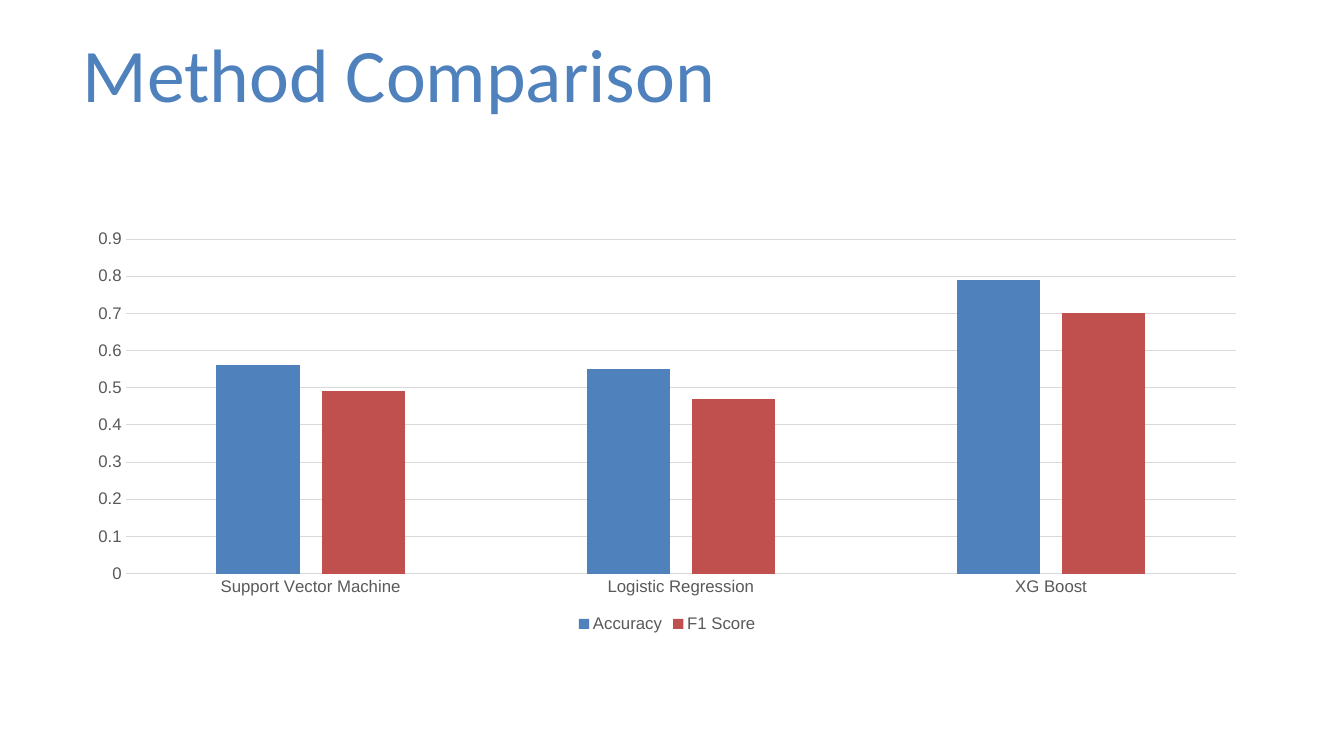
"""Build a slide that compares three methods by accuracy and F1 score."""
from pptx import Presentation
from pptx import util as u
from pptx.chart.data import CategoryChartData
from pptx.dml.color import RGBColor
from pptx.enum import chart as ch, text

BLUE = RGBColor(0x4F, 0x81, 0xBD)
RED = RGBColor(0xC0, 0x50, 0x4D)
GREY = RGBColor(0x59, 0x59, 0x59)
PALE = RGBColor(0xD9, 0xD9, 0xD9)

TITLE = "Method Comparison"
METHODS = ["Support Vector Machine", "Logistic Regression", "XG Boost"]
SCORES = [
    ("Accuracy", (0.56, 0.55, 0.79), BLUE),
    ("F1 Score", (0.49, 0.47, 0.7), RED),
]
SIZE = (33.87, 19.05)
TITLE_BOX = (1.83, -0.3, 29.92, 4.6)
CHART_BOX = (1.88, 5.59, 29.87, 10.46)

HEAD = {"name": "Calibri", "size": u.Pt(54)}
LABEL = {"name": "Arial", "size": u.Pt(12)}
FRAME = {"word_wrap": True, "vertical_anchor": text.MSO_ANCHOR.MIDDLE}
PLOT = {"gap_width": 219, "overlap": -27, "vary_by_categories": False}
LEGEND = {"position": ch.XL_LEGEND_POSITION.BOTTOM, "include_in_layout": False}
TICKS = {"major_tick_mark": ch.XL_TICK_MARK.NONE,
         "minor_tick_mark": ch.XL_TICK_MARK.NONE}
RANGE = {"minimum_scale": 0, "maximum_scale": 0.9, "major_unit": 0.1,
         "has_major_gridlines": True}


def apply(item, form):
    for key, val in form.items():
        setattr(item, key, val)


def style(font, form, color):
    apply(font, form)
    font.color.rgb = color


def rule(line):
    line.color.rgb = PALE
    line.width = u.Pt(0.75)


def add_title(slide):
    frame = slide.shapes.add_textbox(*map(u.Cm, TITLE_BOX)).text_frame
    apply(frame, FRAME)
    para = frame.paragraphs[0]
    para.line_spacing = 0.85
    run = para.add_run()
    run.text = TITLE
    style(run.font, HEAD, BLUE)


def add_scores(slide):
    data = CategoryChartData(number_format="General")
    data.categories = METHODS
    for name, vals, _ in SCORES:
        data.add_series(name, vals)
    chart = slide.shapes.add_chart(
        ch.XL_CHART_TYPE.COLUMN_CLUSTERED, *map(u.Cm, CHART_BOX), data).chart
    chart.has_title = False
    chart.has_legend = True
    apply(chart.legend, LEGEND)
    apply(chart.plots[0], PLOT)
    methods, values = chart.category_axis, chart.value_axis
    for axis in (methods, values):
        apply(axis, TICKS)
        style(axis.tick_labels.font, LABEL, GREY)
    style(chart.legend.font, LABEL, GREY)
    apply(values, RANGE)
    rule(methods.format.line)
    rule(values.major_gridlines.format.line)
    values.format.line.fill.background()
    for series, (_, _, color) in zip(chart.plots[0].series, SCORES):
        series.format.fill.solid()
        series.format.fill.fore_color.rgb = color


def main():
    deck = Presentation()
    deck.slide_width, deck.slide_height = map(u.Cm, SIZE)
    slide = deck.slides.add_slide(deck.slide_layouts[6])
    add_scores(slide)
    add_title(slide)
    deck.save("out.pptx")


if __name__ == "__main__":
    main()
